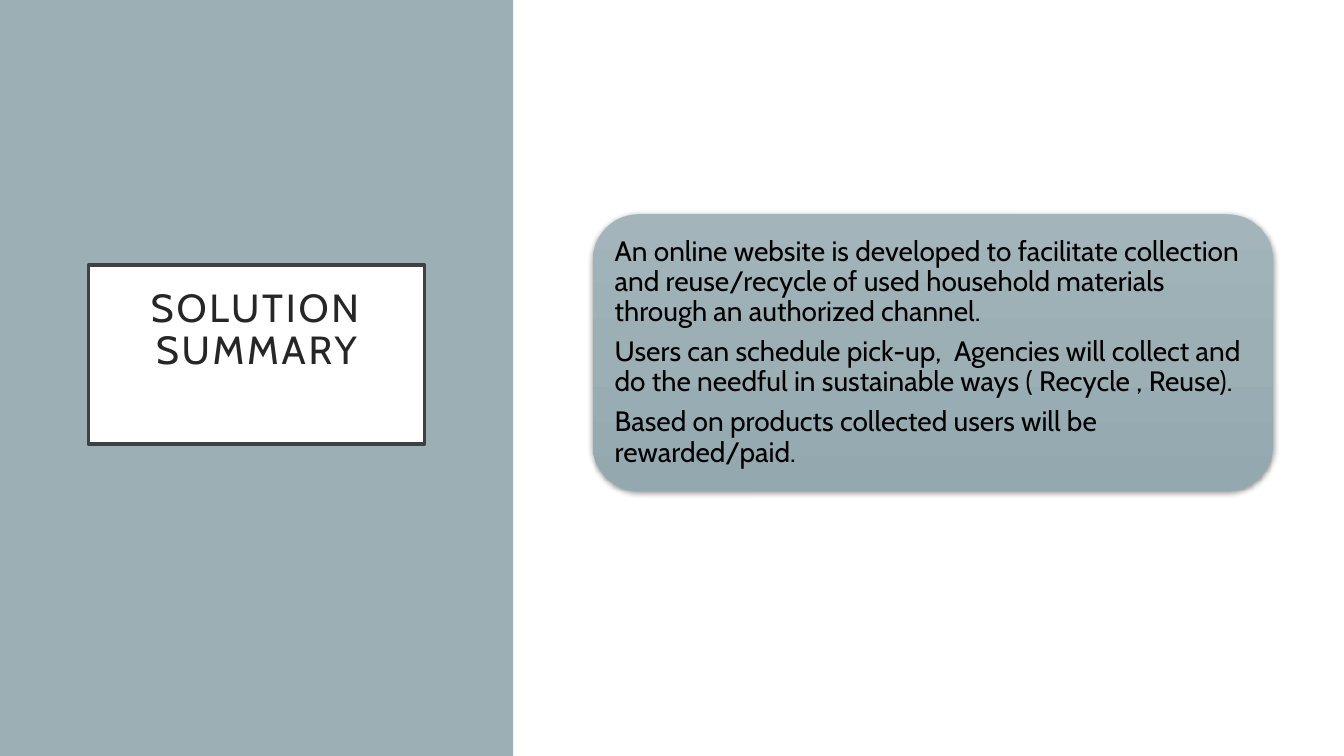
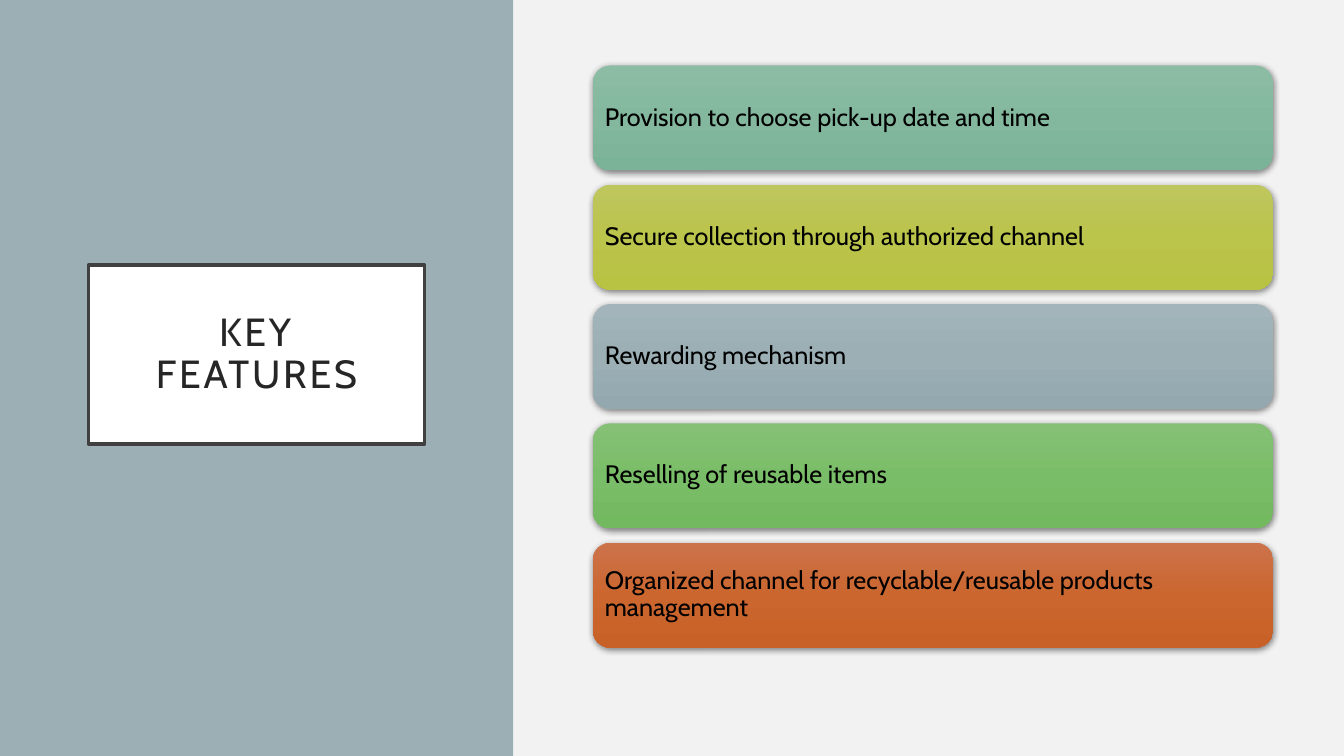
from lxml import etree
from pptx import Presentation
from pptx.dml.color import RGBColor
from pptx.enum.shapes import MSO_SHAPE
from pptx.enum.text import MSO_ANCHOR, MSO_AUTO_SIZE, PP_ALIGN
from pptx.oxml import parse_xml
from pptx.oxml.ns import qn
from pptx.util import Pt

FONT = "Cabin"
COLORS = {
    "panel": "9BAFB5", "white": "FFFFFF", "light": "F2F2F2",
    "frame": "404040", "title": "262626", "text": "000000",
}
GRADIENTS = {
    "teal": ("8DBCA5", "83B89E", "7BB398"),
    "lime": ("BEC65E", "BBC44B", "B8C243"),
    "slate": ("A3B5BB", "9BAFB5", "93A9AF"),
    "green": ("85C076", "7ABD68", "73B960"),
    "orange": ("CC734B", "CB662F", "C86128"),
}

SUMMARY = [
    "An online website is developed to facilitate collection and reuse/recycle of used "
    "household materials through an authorized channel.",
    "Users can schedule pick-up,  Agencies will collect and do the needful in sustainable "
    "ways ( Recycle , Reuse).",
    "Based on products collected users will be rewarded/paid.",
]
FEATURES = [
    ("Provision to choose pick-up date and time", "teal"),
    ("Secure collection through authorized channel", "lime"),
    ("Rewarding mechanism", "slate"),
    ("Reselling of reusable items", "green"),
    ("Organized channel for recyclable/reusable products management", "orange"),
]

SLIDE_WIDTH, SLIDE_HEIGHT = 960, 540
PANEL_WIDTH = 366.5
CARD_LEFT, CARD_WIDTH = 423.4, 486
SUMMARY_TOP, SUMMARY_HEIGHT = 153, 197.6
FEATURE_TOP, FEATURE_HEIGHT, FEATURE_PITCH = 46.8, 75, 85.2


def rgb(name):
    return RGBColor.from_string(COLORS[name])


def write(shape, paragraphs, size, color, margins, align=PP_ALIGN.LEFT, after=0, spacing=0):
    """Fill a shape with text; margins run left, top, right, bottom, all lengths in points."""
    frame = shape.text_frame
    frame.word_wrap = True
    frame.auto_size = MSO_AUTO_SIZE.NONE
    frame.vertical_anchor = MSO_ANCHOR.MIDDLE
    (frame.margin_left, frame.margin_top,
     frame.margin_right, frame.margin_bottom) = map(Pt, margins)
    for index, text in enumerate(paragraphs):
        para = frame.add_paragraph() if index else frame.paragraphs[0]
        para.alignment = align
        para.line_spacing = 0.9
        para.space_before, para.space_after = Pt(0), Pt(after)
        span = para.add_run()
        span.text = text
        span.font.name, span.font.size = FONT, Pt(size)
        span.font.color.rgb = rgb(color)
        if spacing:
            span.font._element.set("spc", str(spacing * 100))


def add_shape(slide, kind, left, top, width, height):
    shape = slide.shapes.add_shape(kind, Pt(left), Pt(top), Pt(width), Pt(height))
    shape.shadow.inherit = False
    shape.line.fill.background()
    return shape


def add_gradient(shape, stops):
    """Blend the stops evenly from top to bottom."""
    shape.fill.gradient()
    shape.fill.gradient_angle = 270
    stop_list = shape._element.spPr.find(qn("a:gradFill")).find(qn("a:gsLst"))
    for stop in list(stop_list):
        stop_list.remove(stop)
    for index, color in enumerate(stops):
        position = 100000 * index // (len(stops) - 1)
        stop = etree.SubElement(stop_list, qn("a:gs"), pos=str(position))
        etree.SubElement(stop, qn("a:srgbClr"), val=color)


def add_shadow(shape):
    effects = shape._element.spPr.find(qn("a:effectLst"))
    effects.append(parse_xml(
        '<a:outerShdw xmlns:a="http://schemas.openxmlformats.org/drawingml/2006/main" '
        f'blurRad="{Pt(4.4)}" dist="{Pt(1.2)}" dir="5400000" algn="ctr" rotWithShape="0">'
        f'<a:srgbClr val="{COLORS["text"]}"><a:alpha val="45000"/></a:srgbClr></a:outerShdw>'))


def add_card(slide, paragraphs, gradient, top, height, size, margin):
    card = add_shape(slide, MSO_SHAPE.ROUNDED_RECTANGLE, CARD_LEFT, top, CARD_WIDTH, height)
    add_gradient(card, GRADIENTS[gradient])
    add_shadow(card)
    write(card, paragraphs, size, "text", [margin] * 4, after=size * 0.35)


def add_slide(deck, title_text, background, title_bottom=14.4):
    """Start a slide with its side panel and framed title."""
    slide = deck.slides.add_slide(deck.slide_layouts[5])
    slide.background.fill.solid()
    slide.background.fill.fore_color.rgb = rgb(background)

    panel = add_shape(slide, MSO_SHAPE.RECTANGLE, 0, 0, PANEL_WIDTH, SLIDE_HEIGHT)
    panel.fill.solid()
    panel.fill.fore_color.rgb = rgb("panel")
    slide.shapes._spTree.insert(2, panel._element)  # behind the title

    title = slide.shapes.title
    title.left, title.top, title.width, title.height = map(Pt, (63.2, 189.3, 240, 128))
    title.fill.solid()
    title.fill.fore_color.rgb = rgb("white")
    title.line.color.rgb = rgb("frame")
    title.line.width = Pt(2.5)
    write(title, [title_text], 28, "title", (21.6, 14.4, 21.6, title_bottom),
          align=PP_ALIGN.CENTER, spacing=2)
    return slide


def main():
    deck = Presentation()
    deck.slide_width, deck.slide_height = Pt(SLIDE_WIDTH), Pt(SLIDE_HEIGHT)

    summary = add_slide(deck, "SOLUTION SUMMARY", "white", title_bottom=48)
    add_card(summary, SUMMARY, "slate", SUMMARY_TOP, SUMMARY_HEIGHT, size=20, margin=6)

    features = add_slide(deck, "KEY FEATURES", "light")
    for index, (text, gradient) in enumerate(FEATURES):
        add_card(features, [text], gradient, FEATURE_TOP + index * FEATURE_PITCH,
                 FEATURE_HEIGHT, size=18, margin=5)

    deck.save("out.pptx")


if __name__ == "__main__":
    main()
